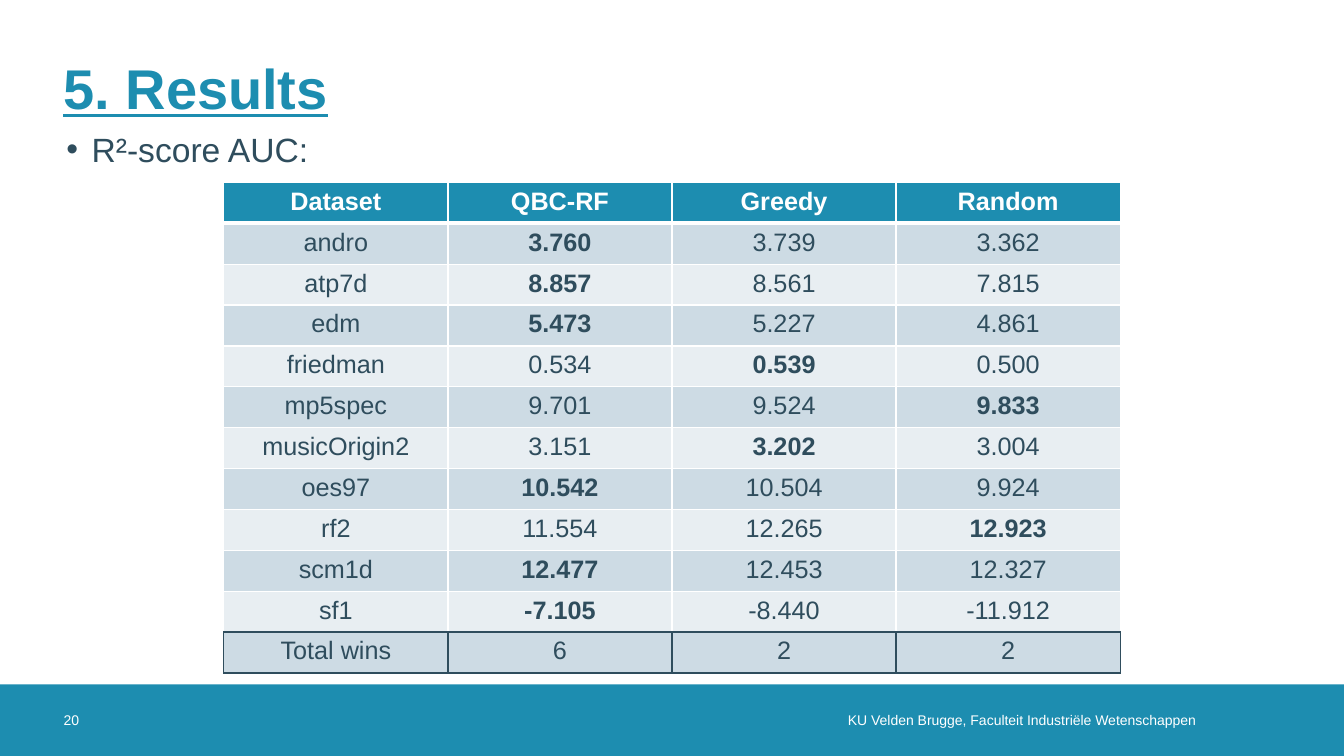
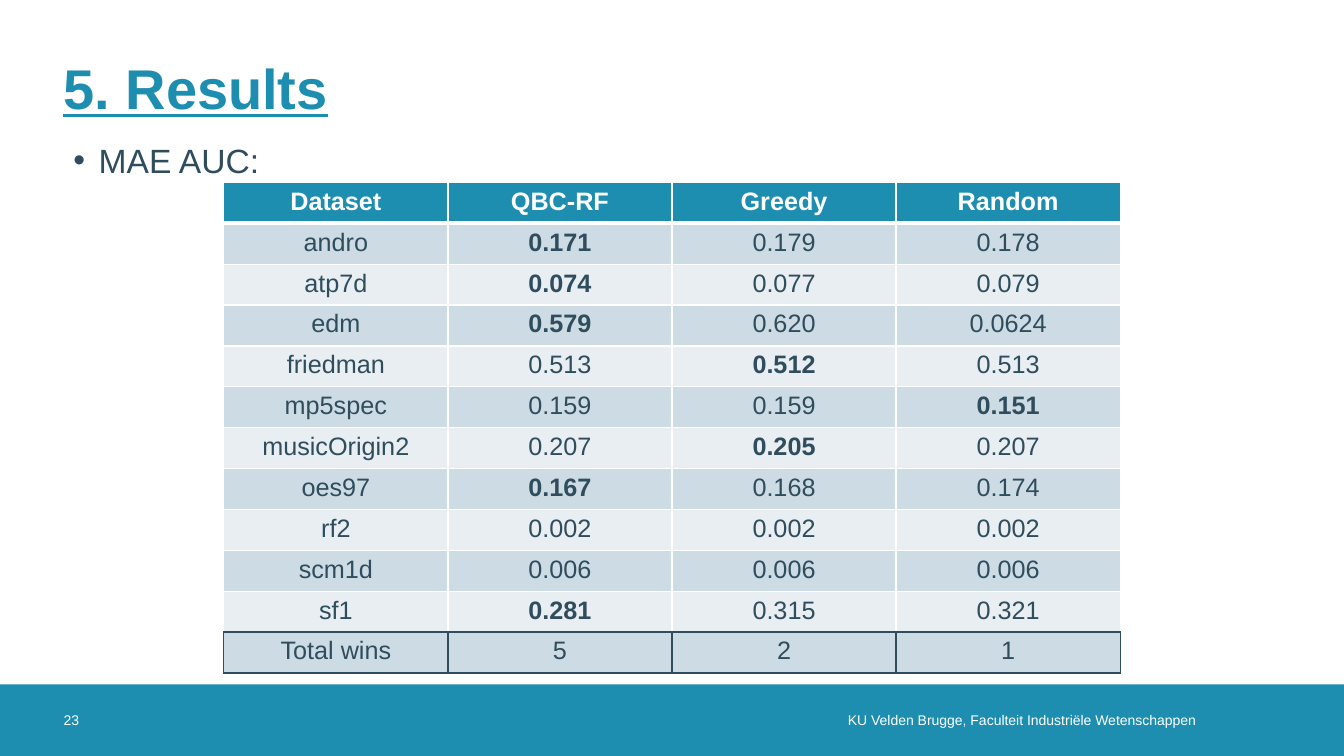
from lxml import etree
from pptx import Presentation
from pptx import util as u
from pptx.dml.color import RGBColor
from pptx.enum import shapes, text
from pptx.oxml.ns import qn

TEAL, INK, WHITE = "1D8DB0", "2F4D5D", "FFFFFF"
STRIPES = "CDDBE4", "E8EEF2"
FONT = "Arial"
BAND_TOP, BAND_H = 6.79, 0.71
LEFT = 0.63
FOOTER = "KU Velden Brugge, Faculteit Industriële Wetenschappen"
METHODS = ["QBC-RF", "Greedy", "Random"]

# Each row: dataset, one score per method, index of the winning method (or None).
R2_SCORES = [
    ("andro", ["3.760", "3.739", "3.362"], 0),
    ("atp7d", ["8.857", "8.561", "7.815"], 0),
    ("edm", ["5.473", "5.227", "4.861"], 0),
    ("friedman", ["0.534", "0.539", "0.500"], 1),
    ("mp5spec", ["9.701", "9.524", "9.833"], 2),
    ("musicOrigin2", ["3.151", "3.202", "3.004"], 1),
    ("oes97", ["10.542", "10.504", "9.924"], 0),
    ("rf2", ["11.554", "12.265", "12.923"], 2),
    ("scm1d", ["12.477", "12.453", "12.327"], 0),
    ("sf1", ["-7.105", "-8.440", "-11.912"], 0),
]
MAE_SCORES = [
    ("andro", ["0.171", "0.179", "0.178"], 0),
    ("atp7d", ["0.074", "0.077", "0.079"], 0),
    ("edm", ["0.579", "0.620", "0.0624"], 0),
    ("friedman", ["0.513", "0.512", "0.513"], 1),
    ("mp5spec", ["0.159", "0.159", "0.151"], 2),
    ("musicOrigin2", ["0.207", "0.205", "0.207"], 1),
    ("oes97", ["0.167", "0.168", "0.174"], 0),
    ("rf2", ["0.002", "0.002", "0.002"], None),
    ("scm1d", ["0.006", "0.006", "0.006"], None),
    ("sf1", ["0.281", "0.315", "0.321"], 0),
]


def rgb(value):
    return RGBColor.from_string(value)


def write(tf, content, size=18, color=INK, bold=False, underline=False, align="LEFT"):
    p = tf.paragraphs[0]
    p.alignment = getattr(text.PP_ALIGN, align)
    r = p.add_run()
    r.text = content
    f = r.font
    f.name, f.size, f.bold, f.underline = FONT, u.Pt(size), bold, underline
    f.color.rgb = rgb(color)
    return p


def set_borders(cell, left, right, top, bottom):
    """Draw the cell's sides; each is a pair of colour and width in points."""
    tc_pr = cell._tc.get_or_add_tcPr()
    for side, (color, width) in zip("LRTB", (left, right, top, bottom)):
        ln = etree.SubElement(tc_pr, qn(f"a:ln{side}"), w=str(u.Pt(width)))
        fill = etree.SubElement(ln, qn("a:solidFill"))
        etree.SubElement(fill, qn("a:srgbClr"), val=color)


class Deck:
    """Holds the presentation, its style and the current slide."""

    def __init__(self):
        self.prs = Presentation()
        self.prs.slide_width, self.prs.slide_height = u.Inches(13.33), u.Inches(7.5)
        self.s = None

    def text_box(self, content, x, y, w, h, insets=(0, 0, 0, 0), anchor="MIDDLE", **style):
        tf = self.s.shapes.add_textbox(*map(u.Inches, (x, y, w, h))).text_frame
        tf.word_wrap = True
        tf.vertical_anchor = getattr(text.MSO_ANCHOR, anchor)
        tf.margin_left, tf.margin_top, tf.margin_right, tf.margin_bottom = map(u.Inches, insets)
        return write(tf, content, **style)

    def new_slide(self, title, number):
        """Start a slide with its footer band, page number and title."""
        self.s = self.prs.slides.add_slide(self.prs.slide_layouts[6])
        band = self.s.shapes.add_shape(
            shapes.MSO_SHAPE.RECTANGLE, 0, u.Inches(BAND_TOP), self.prs.slide_width, u.Inches(BAND_H))
        band.shadow.inherit = False
        band.fill.solid()
        band.fill.fore_color.rgb = rgb(TEAL)
        band.line.fill.background()
        self.text_box(FOOTER, 6.6, BAND_TOP, 5.46, BAND_H, insets=(0, 0, 0.2, 0),
                      size=10, color=WHITE, align="RIGHT")
        self.text_box(str(number), LEFT, BAND_TOP, 0.71, BAND_H, size=10, color=WHITE)
        self.text_box(title, LEFT, 0.23, 12.07, 1.26, size=40, color=TEAL, bold=True, underline=True)

    def bullet(self, content, x, y):
        p = self.text_box(content, x, y, 12.07, 0.5, insets=(0.1, 0.08, 0.1, 0), anchor="TOP", size=24)
        p_pr = p._p.get_or_add_pPr()
        indent = u.Inches(0.25)
        p_pr.set("marL", str(indent))
        p_pr.set("indent", str(-indent))
        etree.SubElement(p_pr, qn("a:buFont"), typeface=FONT)
        etree.SubElement(p_pr, qn("a:buChar"), char="•")

    def cell(self, cell, content, fill, borders, **style):
        set_borders(cell, *borders)
        cell.fill.solid()
        cell.fill.fore_color.rgb = rgb(fill)
        write(cell.text_frame, content, align="CENTER", **style)

    def score_table(self, scores):
        """Add the scores under a header, with the wins counted in the last row."""
        winners = [winner for _, _, winner in scores]
        totals = [str(winners.count(i)) for i in range(len(METHODS))]
        rows = [("Dataset", METHODS, None), *scores, ("Total wins", totals, None)]
        last = len(rows) - 1
        table = self.s.shapes.add_table(
            len(rows), len(METHODS) + 1, *map(u.Inches, (2.22, 1.81, 8.89, 4.87))).table
        thin, thick, dark = (WHITE, 1), (WHITE, 3), (INK, 1)
        for i, (name, values, winner) in enumerate(rows):
            header = i == 0
            side = dark if i == last else thin
            top = thick if i == 1 else side
            bottom = thick if header else dark if i >= last - 1 else thin
            fill = TEAL if header else STRIPES[(i - 1) % 2]
            for j, content in enumerate([name, *values]):
                self.cell(table.cell(i, j), content, fill, (side, side, top, bottom),
                          color=WHITE if header else INK,
                          bold=header or (winner is not None and j == winner + 1))


def main():
    deck = Deck()
    for number, heading, x, y, scores in [
        (20, "R²-score AUC:", 0.56, 1.2, R2_SCORES),
        (23, "MAE AUC:", LEFT, 1.31, MAE_SCORES),
    ]:
        deck.new_slide("5. Results", number)
        deck.bullet(heading, x, y)
        deck.score_table(scores)
    deck.prs.save("out.pptx")


if __name__ == "__main__":
    main()
